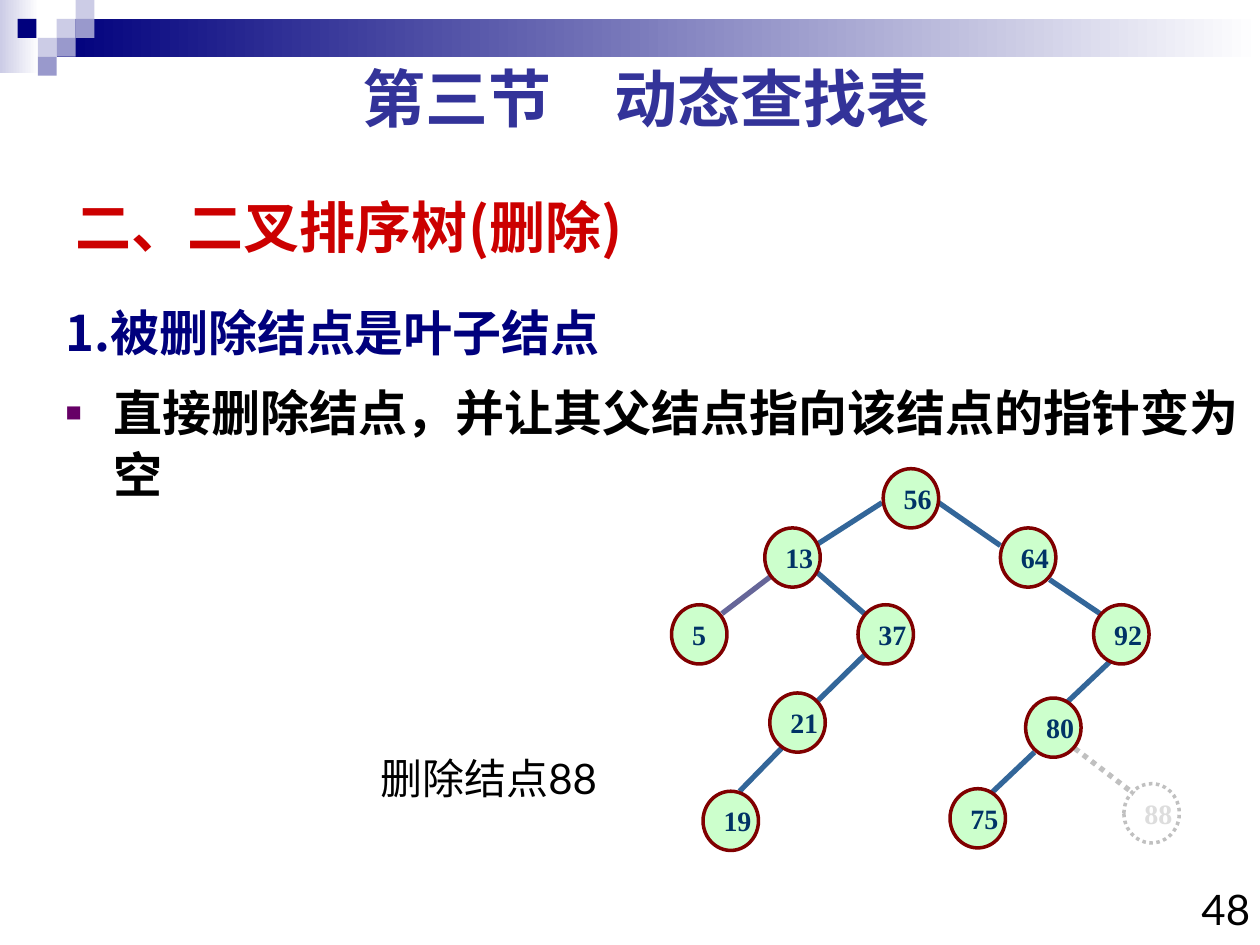
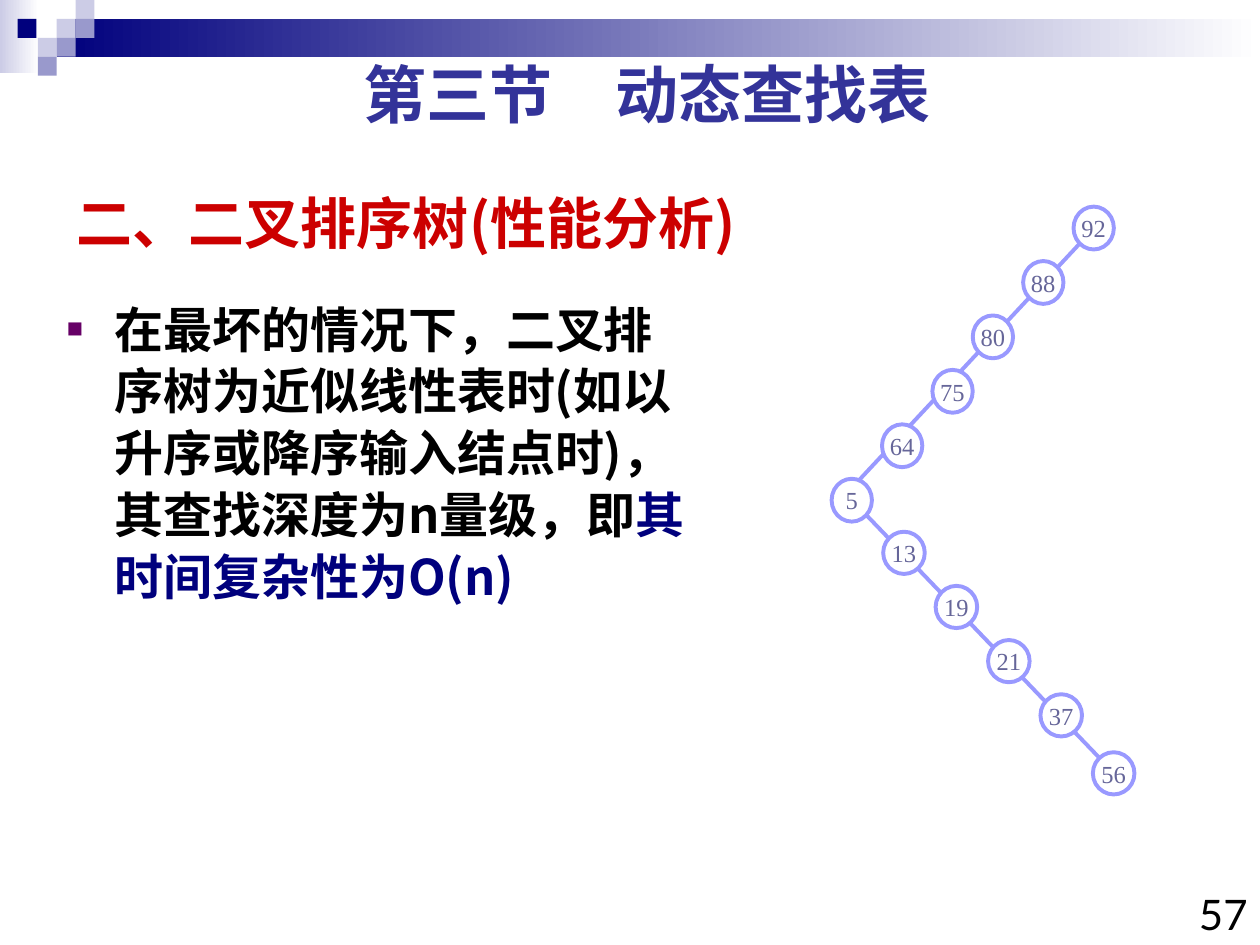
from typing import NamedTuple

from lxml import etree
from pptx import Presentation
from pptx.dml.color import RGBColor
from pptx.enum.dml import MSO_LINE
from pptx.enum.shapes import MSO_CONNECTOR, MSO_SHAPE
from pptx.enum.text import MSO_ANCHOR, MSO_AUTO_SIZE, PP_ALIGN
from pptx.oxml.ns import qn
from pptx.util import Inches, Pt

COLOURS = {
    "navy": "00007D", "lilac": "9999CC", "pale": "CCCCE6", "white": "FFFFFF",
    "black": "000000", "section": "333399", "topic": "CC0000", "bullet": "660066",
    "mint": "CCFFCC", "maroon": "800000", "key": "003366", "edge": "336699",
    "slate": "666699", "ghost": "C0C0C0", "ghost_key": "DDDDDD", "chain": "9999FF",
}
HEAVY, PLAIN, SERIF = "Noto Sans CJK SC", "Lato", "Times New Roman"
COLUMNS, ROWS = 100, 75
CELL = Inches(10) / COLUMNS
SECTION = "第三节　动态查找表"


class Box(NamedTuple):
    """A place on the slide, in grid columns and rows."""
    left: float
    top: float
    width: float
    height: float

    def lengths(self) -> list[int]:
        return [round(part * CELL) for part in self]


class TextStyle(NamedTuple):
    font: str
    size: float
    colour: str
    bold: bool = False


class NodeStyle(NamedTuple):
    text: TextStyle
    fill: str
    outline: str
    width: float
    align: PP_ALIGN
    dotted: bool = False


class Node(NamedTuple):
    key: int
    box: Box


class Edge(NamedTuple):
    x1: float
    y1: float
    x2: float
    y2: float
    colour: str = "edge"
    width: float = 3
    dotted: bool = False


class Item(NamedTuple):
    """A body paragraph: pieces of text with their colours."""
    pieces: list[tuple[str, str]]
    bulleted: bool = True


TREE_KEY = TextStyle(SERIF, 16, "key", True)
TREE_NODE = NodeStyle(TREE_KEY, "mint", "maroon", 2, PP_ALIGN.LEFT)
DELETED_NODE = NodeStyle(TREE_KEY._replace(colour="ghost_key"), "white", "ghost", 2,
                         PP_ALIGN.LEFT, dotted=True)
CHAIN_NODE = NodeStyle(TextStyle(SERIF, 14, "slate"), "white", "chain", 2.25,
                       PP_ALIGN.CENTER)

STEP = 1.5
MOSAIC = [(3, 1, "pale"), (4, 0, "pale"), (4, 1, "lilac"), (2, 2, "pale"),
          (0.93, 1, "navy"), (3, 2, "lilac"), (2, 3, "lilac")]
BANDS = [(Box(0, 0, 3.1, 5.8), "pale"), (Box(4.5, 1.5, 95.5, 3), "navy")]

TREE_SPOTS = [(56, 70.1, 37.2), (64, 79.4, 41.9), (5, 53.3, 48), (92, 86.8, 48),
              (37, 68.1, 48), (19, 55.8, 62.8), (80, 81.4, 55.4), (21, 61.1, 55),
              (13, 60.7, 41.9), (75, 75.4, 62.6)]
DELETED_SPOT = (88, 89.2, 62.2)
TREE_EDGES = [
    Edge(70, 39.9, 64.7, 43.3), Edge(61.1, 45.8, 57.3, 48.7, "slate"),
    Edge(74.5, 39.9, 79.4, 43.3), Edge(64.7, 45.3, 68.6, 48.7),
    Edge(68.6, 52, 63.8, 56.7), Edge(83.3, 46, 87.3, 48.7),
    Edge(88.1, 52.5, 84.3, 56.1), Edge(85.3, 59.4, 90, 63, "ghost", dotted=True),
    Edge(62.7, 58.7, 58.7, 62.8), Edge(82.1, 59.7, 78.3, 63.3),
]

UPPER_ARM = [(92, 85.2), (88, 81.2), (80, 77.2), (75, 74), (64, 70), (5, 66)]
LOWER_ARM = [(13, 42.2), (19, 46.5), (21, 50.8), (37, 55.1), (56, 59.7)]
CHAIN_EDGES = [Edge(86, 19, 66.7, 39.7, "chain", 2.25),
               Edge(68.4, 40.5, 87.4, 60.3, "chain", 2.25)]


def rgb(name: str) -> RGBColor:
    return RGBColor.from_string(COLOURS[name])


def format_run(run, style: TextStyle) -> None:
    """Sets the Latin and the East Asian typeface alike."""
    font = run.font
    font.name, font.size, font.bold = style.font, Pt(style.size), style.bold
    font.color.rgb = rgb(style.colour)
    east_asian = etree.Element(qn("a:ea"), typeface=style.font)
    run._r.rPr.find(qn("a:latin")).addnext(east_asian)


def write_line(frame, text: str, style: TextStyle, align: PP_ALIGN) -> None:
    frame.text = text
    paragraph = frame.paragraphs[0]
    paragraph.alignment = align
    for run in paragraph.runs:
        format_run(run, style)


def place(shape, box: Box) -> None:
    shape.left, shape.top, shape.width, shape.height = box.lengths()


def add_label(slide, box: Box, text: str, style: TextStyle,
              align: PP_ALIGN = PP_ALIGN.LEFT) -> None:
    frame = slide.shapes.add_textbox(*box.lengths()).text_frame
    frame.word_wrap = True
    write_line(frame, text, style, align)


def add_block(slide, box: Box, colour: str, fading: bool = False) -> None:
    block = slide.shapes.add_shape(MSO_SHAPE.RECTANGLE, *box.lengths())
    block.shadow.inherit = False
    block.line.fill.background()
    if fading:
        block.fill.gradient()
        block.fill.gradient_angle = 0
        for stop, name in zip(block.fill.gradient_stops, (colour, "white")):
            stop.color.rgb = rgb(name)
    else:
        block.fill.solid()
        block.fill.fore_color.rgb = rgb(colour)


def add_node(slide, node: Node, style: NodeStyle) -> None:
    circle = slide.shapes.add_shape(MSO_SHAPE.OVAL, *node.box.lengths())
    circle.shadow.inherit = False
    circle.fill.solid()
    circle.fill.fore_color.rgb = rgb(style.fill)
    circle.line.color.rgb = rgb(style.outline)
    circle.line.width = Pt(style.width)
    if style.dotted:
        circle.line.dash_style = MSO_LINE.ROUND_DOT
    frame = circle.text_frame
    frame.word_wrap = False
    frame.vertical_anchor = MSO_ANCHOR.MIDDLE
    write_line(frame, str(node.key), style.text, style.align)


def add_edge(slide, edge: Edge) -> None:
    ends = [round(part * CELL) for part in edge[:4]]
    link = slide.shapes.add_connector(MSO_CONNECTOR.STRAIGHT, *ends)
    link.line.color.rgb = rgb(edge.colour)
    link.line.width = Pt(edge.width)
    if edge.dotted:
        link.line.dash_style = MSO_LINE.ROUND_DOT
    etree.SubElement(link._element.spPr, qn("a:effectLst"))


def set_bullet(paragraph, bulleted: bool) -> None:
    properties = paragraph._p.get_or_add_pPr()
    properties.set("marL", str(Inches(0.38)))
    properties.set("indent", str(-Inches(0.38)))
    if not bulleted:
        etree.SubElement(properties, qn("a:buNone"))
        return
    tint = etree.SubElement(properties, qn("a:buClr"))
    etree.SubElement(tint, qn("a:srgbClr"), val=COLOURS["bullet"])
    etree.SubElement(properties, qn("a:buSzPct"), val="55000")
    etree.SubElement(properties, qn("a:buChar"), char="■")


def fill_body(body, items: list[Item]) -> None:
    frame = body.text_frame
    frame.auto_size = MSO_AUTO_SIZE.NONE
    for index, item in enumerate(items):
        paragraph = frame.add_paragraph() if index else frame.paragraphs[0]
        set_bullet(paragraph, item.bulleted)
        paragraph.line_spacing = 1.05
        paragraph.space_before = Pt(10.5 if index else 0)
        for text, colour in item.pieces:
            run = paragraph.add_run()
            run.text = text
            format_run(run, TextStyle(HEAVY, 28, colour, True))


def start_slide(deck, topic: str, number: int, origin: tuple[float, float],
                number_box: Box, body_box: Box, items: list[Item]):
    """Adds a slide with all shared parts; origin is the topic's corner."""
    slide = deck.slides.add_slide(deck.slide_layouts[1])
    left, top = origin
    for box, colour in BANDS:
        add_block(slide, box, colour, fading=True)
    for column, row, colour in MOSAIC:
        add_block(slide, Box(column * STEP, row * STEP, STEP, STEP), colour)

    title = slide.shapes.title
    place(title, Box(left, top, 62.5, 7.5))
    title.text_frame.auto_size = MSO_AUTO_SIZE.NONE
    title.text_frame.vertical_anchor = MSO_ANCHOR.MIDDLE
    write_line(title.text_frame, topic, TextStyle(HEAVY, 32, "topic", True),
               PP_ALIGN.LEFT)
    add_label(slide, Box(left, top - 10, 92.5, 7), SECTION,
              TextStyle(PLAIN, 36, "section", True), PP_ALIGN.CENTER)

    body = slide.placeholders[1]
    place(body, body_box)
    fill_body(body, items)
    add_label(slide, number_box, str(number), TextStyle(PLAIN, 24, "black"),
              PP_ALIGN.RIGHT)
    return slide


def tree_node(key: int, left: float, top: float) -> Node:
    return Node(key, Box(left, top, 4.4, 4.7))


def build_deletion(deck) -> None:
    slide = start_slide(
        deck, "二、二叉排序树(删除)", 48, (5, 14.2), Box(93.5, 69.6, 6.7, 5.9),
        Box(4.2, 23.3, 95.8, 44.2),
        [Item([("1.被删除结点是叶子结点", "navy")], bulleted=False),
         Item([("直接删除结点，并让其父结点指向该结点的指针变为空", "black")])])
    add_node(slide, tree_node(*DELETED_SPOT), DELETED_NODE)
    for edge in TREE_EDGES:
        add_edge(slide, edge)
    for spot in TREE_SPOTS:
        add_node(slide, tree_node(*spot), TREE_NODE)
    add_label(slide, Box(29.2, 59.2, 20.8, 5), "删除结点88",
              TextStyle(PLAIN, 24, "black"))


def build_performance(deck) -> None:
    slide = start_slide(
        deck, "二、二叉排序树(性能分析)", 57, (5.1, 13.9), Box(93.3, 70, 6.7, 5.9),
        Box(4.3, 23, 51.7, 44.2),
        [Item([("在最坏的情况下，二叉排序树为近似线性表时(如以升序或降序输入结点时)，"
                "其查找深度为n量级，即", "black"),
               ("其时间复杂性为O(n)", "navy")])])
    for edge in CHAIN_EDGES:
        add_edge(slide, edge)
    upper = [Node(key, Box(left, 16.4 + 4.32 * level, 3.2, 3.4))
             for level, (key, left) in enumerate(UPPER_ARM)]
    lower = [Node(key, Box(70.1 + 4.16 * level, top, 3.3, 3.35))
             for level, (key, top) in enumerate(LOWER_ARM)]
    for node in upper + lower:
        add_node(slide, node, CHAIN_NODE)


def main() -> None:
    deck = Presentation()
    deck.slide_width = round(COLUMNS * CELL)
    deck.slide_height = round(ROWS * CELL)
    build_deletion(deck)
    build_performance(deck)
    deck.save("out.pptx")


if __name__ == "__main__":
    main()
